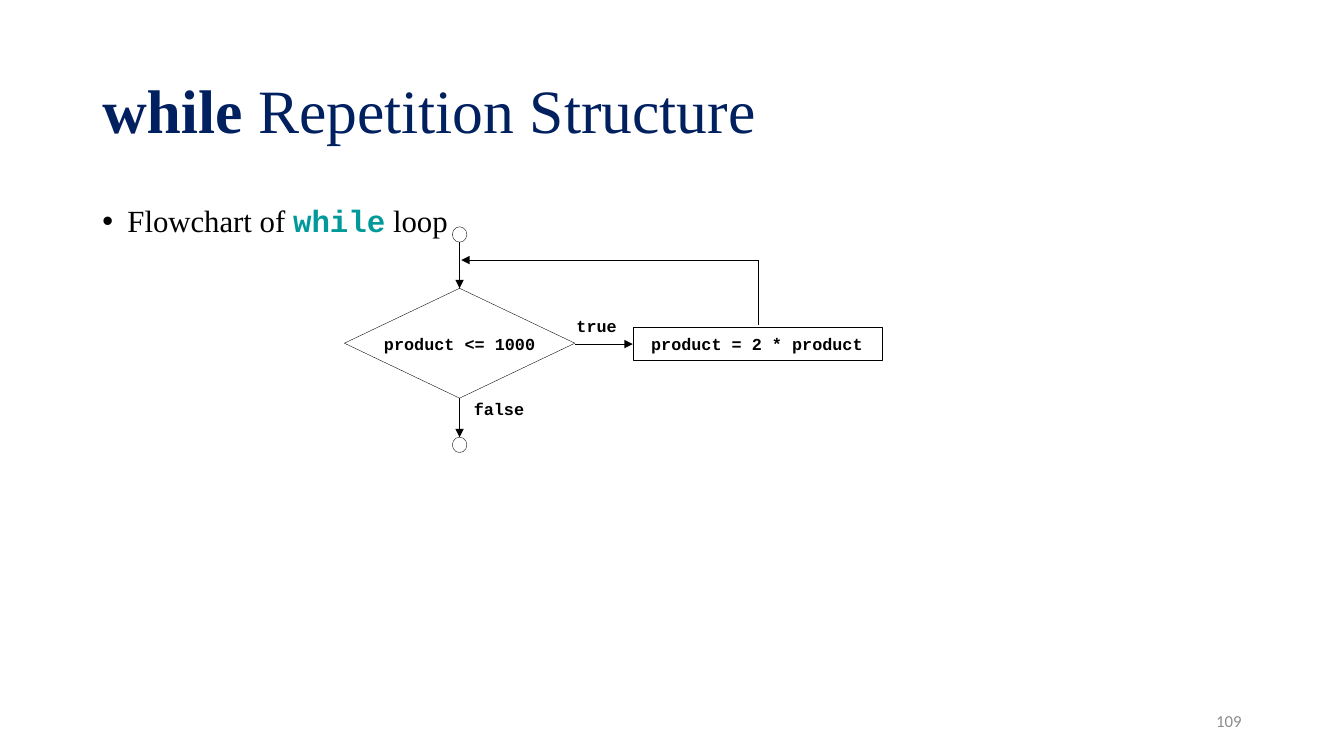
from lxml import etree
from pptx import Presentation
from pptx.dml.color import RGBColor
from pptx.enum import shapes, text
from pptx.oxml.ns import qn
from pptx.util import Pt

COLORS = {"title": "002060", "ink": "000000", "keyword": "009999",
          "paper": "FFFFFF", "number": "8C8C8C"}
SERIF, MONO, SANS = "Times New Roman", "Courier New", "Calibri"
LEFT, CENTER, RIGHT = text.PP_ALIGN.LEFT, text.PP_ALIGN.CENTER, text.PP_ALIGN.RIGHT
TOP, MIDDLE = text.MSO_ANCHOR.TOP, text.MSO_ANCHOR.MIDDLE
HAIRLINE = 0.25

# Runs: text, font, size, color, bold
TITLE = [("while", SERIF, 44, "title", True),
         (" Repetition Structure", SERIF, 44, "title", False)]
BULLET = [("Flowchart of ", SERIF, 22, "ink", False),
          ("while", MONO, 22, "keyword", True),
          (" loop", SERIF, 22, "ink", False)]
NUMBER = [("109", SANS, 12, "number", False)]

# Flowchart geometry in points
AXIS = 328.3                        # vertical flow through the condition
DIAMOND = (246, 205.9, 164.6, 78.5)
ACTION = (452, 233.5, 178, 24)
DOT_W, DOT_H = 10.4, 11
START_Y, END_Y = 162, 312.3         # tops of the two dots
LOOP_X, LOOP_Y = 541.8, 185.8       # corner of the way back
BRANCH_Y = 245.8
diamond_right = DIAMOND[0] + DIAMOND[2]
diamond_bottom = DIAMOND[1] + DIAMOND[3]

# Labels: text, left, top, width, height, alignment
LABELS = [("product <= 1000", AXIS - 62.6, 238.3, 125.2, 17.3, CENTER),
          ("product = 2 * product", 455, 238.3, 171.4, 18, CENTER),
          ("true", 411.8, 225.4, 36.7, 21.6, LEFT),
          ("false", 338.4, 285.1, 44.6, 21.6, LEFT)]

NODES = [(shapes.MSO_SHAPE.DIAMOND, DIAMOND),
         (shapes.MSO_SHAPE.RECTANGLE, ACTION)]
NODES += [(shapes.MSO_SHAPE.OVAL, (AXIS - DOT_W / 2, y, DOT_W, DOT_H))
          for y in (START_Y, END_Y)]

# Flows: start x, start y, end x, end y, arrow at the end
FLOWS = [(AXIS, START_Y + DOT_H, AXIS, DIAMOND[1], True),
         (AXIS, diamond_bottom, AXIS, END_Y, True),
         (diamond_right, BRANCH_Y, ACTION[0], BRANCH_Y, True),
         (LOOP_X, ACTION[1] - 1, LOOP_X, LOOP_Y, False),
         (LOOP_X, LOOP_Y, AXIS + 1.2, LOOP_Y, True)]


def color(name):
    return RGBColor.from_string(COLORS[name])


def add_text(s, box, runs, align=LEFT, anchor=TOP, inset=(7.2, 3.6)):
    tf = s.shapes.add_textbox(*map(Pt, box)).text_frame
    tf.word_wrap = True
    tf.vertical_anchor = anchor
    tf.margin_left = tf.margin_right = Pt(inset[0])
    tf.margin_top = tf.margin_bottom = Pt(inset[1])
    p = tf.paragraphs[0]
    p.alignment = align
    for words, font, size, ink, bold in runs:
        r = p.add_run()
        r.text = words
        r.font.name, r.font.size, r.font.bold = font, Pt(size), bold
        r.font.color.rgb = color(ink)
    return p


def add_bullet(p, indent):
    pPr = p._p.get_or_add_pPr()
    pPr.set("marL", str(Pt(indent)))
    pPr.set("indent", str(-Pt(indent)))
    etree.SubElement(pPr, qn("a:buFont")).set("typeface", "Arial")
    etree.SubElement(pPr, qn("a:buChar")).set("char", "•")


def set_line(sp):
    sp.line.color.rgb = color("ink")
    sp.line.width = Pt(HAIRLINE)


def add_node(s, kind, box):
    sp = s.shapes.add_shape(kind, *map(Pt, box))
    sp.shadow.inherit = False
    sp.fill.solid()
    sp.fill.fore_color.rgb = color("paper")
    set_line(sp)


def add_flow(s, x1, y1, x2, y2, arrow):
    sp = s.shapes.add_connector(shapes.MSO_CONNECTOR.STRAIGHT,
                                *map(Pt, (x1, y1, x2, y2)))
    set_line(sp)
    if arrow:
        etree.SubElement(sp.line._get_or_add_ln(), qn("a:tailEnd")).set("type", "triangle")
    etree.SubElement(sp._element.spPr, qn("a:effectLst"))


def main():
    prs = Presentation()
    prs.slide_width, prs.slide_height = Pt(960), Pt(540)
    s = prs.slides.add_slide(prs.slide_layouts[6])

    add_text(s, (66, 28.8, 828, 104.4), TITLE, anchor=MIDDLE).line_spacing = 0.9
    p = add_text(s, (66, 143.8, 828, 342.6), BULLET)
    p.line_spacing = 0.9
    add_bullet(p, 18)

    for kind, box in NODES:
        add_node(s, kind, box)
    for flow in FLOWS:
        add_flow(s, *flow)
    for words, *box, align in LABELS:
        add_text(s, box, [(words, MONO, 12, "ink", True)], align, inset=(0, 0))

    add_text(s, (678, 500.5, 216, 28.8), NUMBER, RIGHT, MIDDLE)
    prs.save("out.pptx")


if __name__ == "__main__":
    main()
